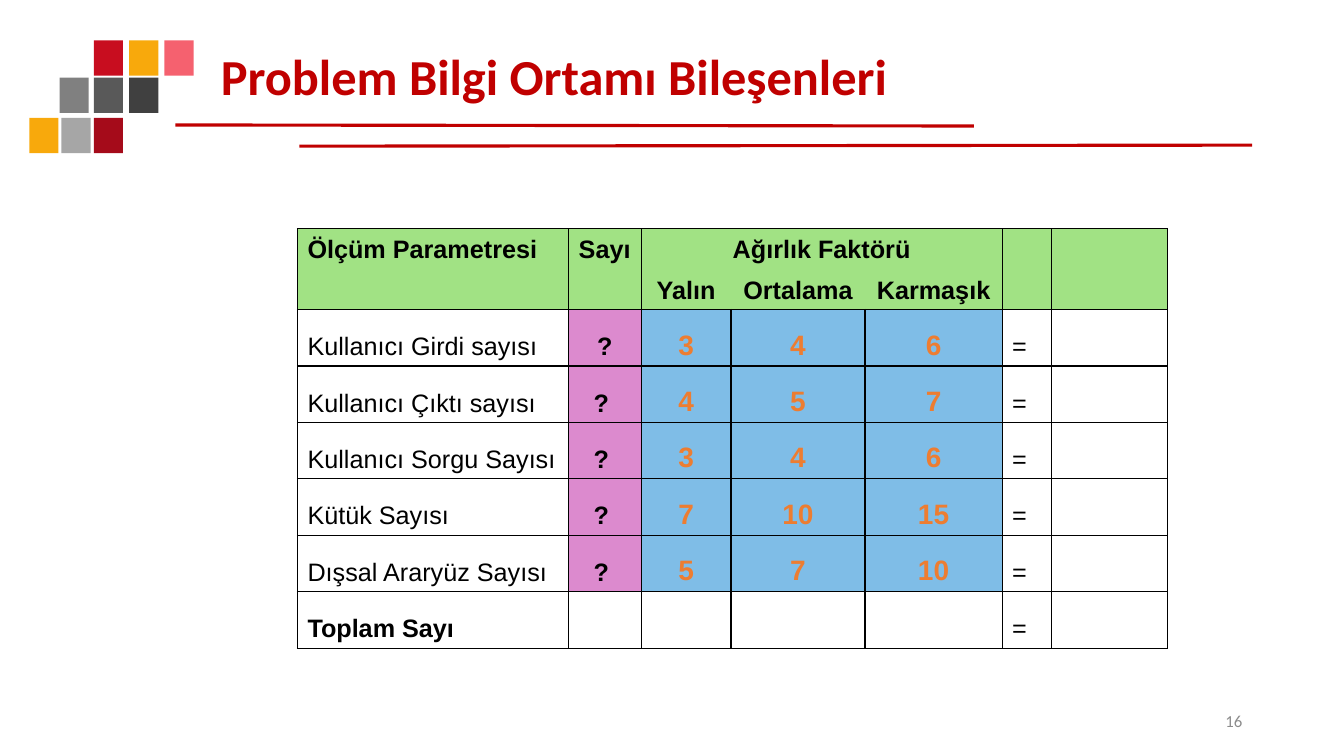
from lxml.etree import SubElement
from pptx import Presentation
from pptx.dml.color import RGBColor
from pptx.enum.shapes import MSO_CONNECTOR, MSO_SHAPE
from pptx.enum.text import MSO_ANCHOR, PP_ALIGN
from pptx.oxml import parse_xml
from pptx.oxml.ns import nsdecls, qn
from pptx.util import Inches, Pt

BLACK = RGBColor(0, 0, 0)
RED = RGBColor(0xC0, 0, 0)
GRAY = RGBColor(0x8C, 0x8C, 0x8C)
GREEN = RGBColor(0xA1, 0xE2, 0x84)
PINK = RGBColor(0xDC, 0x8A, 0xCE)
BLUE = RGBColor(0x7F, 0xBD, 0xE7)
ORANGE = RGBColor(0xED, 0x7D, 0x31)
GOLD = RGBColor(0xF8, 0xA9, 0x0C)

TITLE = "Problem Bilgi Ortamı Bileşenleri"
PAGE = "16"
TILES = [
    (0.4, [(0.93, RGBColor(0xC8, 0x0D, 0x1F)), (1.28, GOLD),
           (1.63, RGBColor(0xF5, 0x61, 0x6F))]),
    (0.77, [(0.59, RGBColor(0x80, 0x80, 0x80)), (0.93, RGBColor(0x59, 0x59, 0x59)),
            (1.28, RGBColor(0x40, 0x40, 0x40))]),
    (1.17, [(0.29, GOLD), (0.61, RGBColor(0xA6, 0xA6, 0xA6)),
            (0.93, RGBColor(0xA5, 0x0B, 0x1A))]),
]
RULES = [(1.74, 1.24, 9.66, 1.25), (2.97, 1.45, 12.42, 1.44)]
ROWS = [
    ("Ölçüm Parametresi", "Sayı", "Ağırlık Faktörü", "", "", "", ""),
    ("", "", "Yalın", "Ortalama", "Karmaşık", "", ""),
    ("Kullanıcı Girdi sayısı", "?", "3", "4", "6", "=", ""),
    ("Kullanıcı Çıktı sayısı", "? ", "4", "5", "7", "=", ""),
    ("Kullanıcı Sorgu Sayısı", "? ", "3", "4", "6", "=", ""),
    ("Kütük Sayısı", "? ", "7", "10", "15", "=", ""),
    ("Dışsal Araryüz Sayısı", "? ", "5", "7", "10", "=", ""),
    ("Toplam Sayı", "", "", "", "", "=", ""),
]
WIDTHS = [2.69, 0.72, 0.89, 1.33, 1.36, 0.49, 1.15]
HEADS = 2
LAST = len(ROWS) - 1
FACTORS = range(2, 5)


def style(para, size, color, bold=False, face="Arial"):
    """Format every run of a paragraph."""
    for run in para.runs:
        font = run.font
        font.name, font.size, font.bold = face, Pt(size), bold
        font.color.rgb = color


def edge(cell, row, col):
    """Draw the borders of a cell, leaving the header open inside."""
    hidden = {"T"} if row == 1 else {"B"} if row == 0 else set()
    if row == 1 and col in FACTORS:
        hidden |= {"L"} if col > FACTORS[0] else set()
        hidden |= {"R"} if col < FACTORS[-1] else set()
    props = cell._tc.get_or_add_tcPr()
    for spot, side in enumerate("LRTB"):
        line = parse_xml(f'<a:ln{side} {nsdecls("a")} w="12700"/>')
        if side in hidden:
            SubElement(line, qn("a:noFill"))
        else:
            fill = SubElement(line, qn("a:solidFill"))
            SubElement(fill, qn("a:srgbClr"), val=str(BLACK))
        props.insert(spot, line)


def paint(cell, row, col):
    """Fill a cell by its place in the table."""
    if row < HEADS:
        color = GREEN
    elif row < LAST and col == 1:
        color = PINK
    elif row < LAST and col in FACTORS:
        color = BLUE
    else:
        cell.fill.background()
        return
    cell.fill.solid()
    cell.fill.fore_color.rgb = color


def write(cell, row, col, text):
    """Put text into a cell and format it."""
    cell.vertical_anchor = MSO_ANCHOR.BOTTOM
    if not text:
        cell.margin_top = cell.margin_bottom = 0
        return
    para = cell.text_frame.paragraphs[0]
    para.text = text
    if col in FACTORS or (col == 1 and row >= HEADS):
        para.alignment = PP_ALIGN.CENTER
    else:
        cell.margin_right = Inches(0.05)
    score = row >= HEADS and col in FACTORS
    bold = row < HEADS or row == LAST and col == 0 or 0 < col < 5
    style(para, 20 if score else 18, ORANGE if score else BLACK, bold)


def build():
    """Build the slide and save it."""
    deck = Presentation()
    deck.slide_width, deck.slide_height = Inches(13.33), Inches(7.5)
    slide = deck.slides.add_slide(deck.slide_layouts[5])
    shapes = slide.shapes

    for top, tiles in TILES:
        for left, color in tiles:
            tile = shapes.add_shape(MSO_SHAPE.RECTANGLE, Inches(left), Inches(top),
                                    Inches(0.29), Inches(0.35))
            tile.shadow.inherit = False
            tile.fill.solid()
            tile.fill.fore_color.rgb = color
            tile.line.fill.background()

    for ends in RULES:
        rule = shapes.add_connector(MSO_CONNECTOR.STRAIGHT, *map(Inches, ends))
        rule.line.color.rgb = RED
        rule.line.width = Pt(2.25)
        SubElement(rule._element.spPr, qn("a:effectLst"))

    title = shapes.title
    title.left, title.top = Inches(2.09), Inches(0.4)
    title.width, title.height = Inches(10.32), Inches(0.77)
    title.text_frame.text = TITLE
    title.text_frame.vertical_anchor = MSO_ANCHOR.MIDDLE
    para = title.text_frame.paragraphs[0]
    para.alignment, para.line_spacing = PP_ALIGN.LEFT, 0.9
    style(para, 36, RED, True, "Calibri")

    page = shapes.add_textbox(Inches(9.42), Inches(6.95), Inches(3), Inches(0.4))
    page.text_frame.word_wrap = True
    page.text_frame.vertical_anchor = MSO_ANCHOR.MIDDLE
    page.text_frame.text = PAGE
    para = page.text_frame.paragraphs[0]
    para.alignment = PP_ALIGN.RIGHT
    style(para, 12, GRAY, face="Calibri")

    heights = [0.39, 0.38] + [0.56] * (len(ROWS) - HEADS)
    frame = shapes.add_table(len(ROWS), len(WIDTHS), Inches(2.95), Inches(2.27),
                             Inches(sum(WIDTHS)), Inches(sum(heights)))
    table = frame.table
    table.first_row = table.horz_banding = False
    for col, width in zip(table.columns, WIDTHS):
        col.width = Inches(width)
    for row, height in zip(table.rows, heights):
        row.height = Inches(height)
    for row, texts in enumerate(ROWS):
        for col, text in enumerate(texts):
            cell = table.cell(row, col)
            write(cell, row, col, text)
            paint(cell, row, col)
            edge(cell, row, col)
    table.cell(0, FACTORS[0]).merge(table.cell(0, FACTORS[-1]))
    deck.save("out.pptx")


if __name__ == "__main__":
    build()
